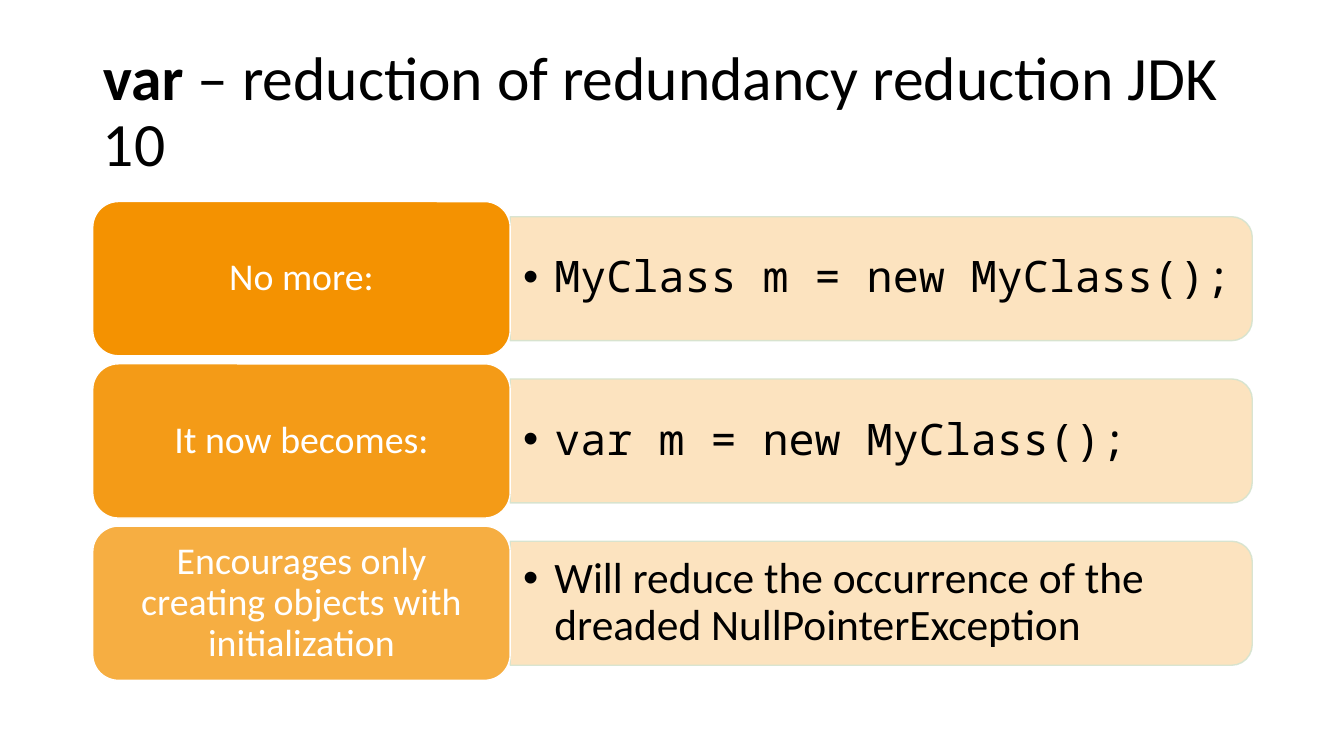
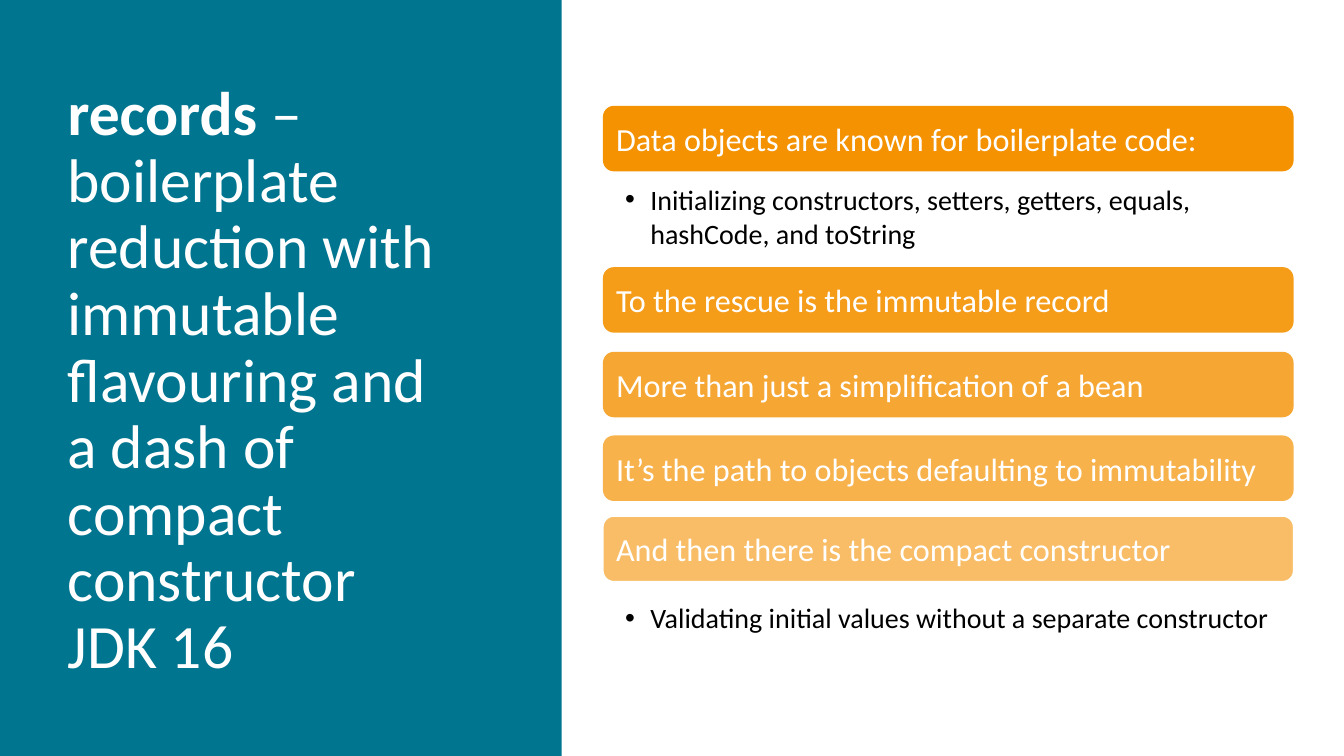
"""Build two slides on Java language features: var and records."""
import pptx
import pptx.dml.color
import pptx.enum.shapes
import pptx.enum.text
import pptx.oxml
import pptx.oxml.ns
import pptx.util

Inches = pptx.util.Inches
Pt = pptx.util.Pt
RGBColor = pptx.dml.color.RGBColor
SHAPES = pptx.enum.shapes.MSO_SHAPE
ALIGN = pptx.enum.text.PP_ALIGN
ANCHOR = pptx.enum.text.MSO_ANCHOR

ORANGE = RGBColor(0xF4, 0x92, 0x01)
TEAL = RGBColor(0x00, 0x75, 0x90)
PALE_GREEN = RGBColor(0xD5, 0xE3, 0xCF)
BLACK = RGBColor(0, 0, 0)
WHITE = RGBColor(255, 255, 255)
SANS = "Calibri"
MONO = "Noto Sans Mono"
A_NS = "http://schemas.openxmlformats.org/drawingml/2006/main"


def write(frame, text, size, color, lead="", font=SANS, align=ALIGN.LEFT,
          anchor=ANCHOR.MIDDLE, spacing=1.0, insets=(0.1, 0.05, 0.1, 0.05), bullet_indent=0):
    """Fill a text frame with one formatted paragraph, optionally with a bold lead."""
    frame.word_wrap = True
    frame.auto_size = pptx.enum.text.MSO_AUTO_SIZE.NONE
    frame.vertical_anchor = anchor
    (frame.margin_left, frame.margin_top,
     frame.margin_right, frame.margin_bottom) = map(Inches, insets)
    paragraph = frame.paragraphs[0]
    paragraph.alignment = align
    paragraph.line_spacing = spacing
    if lead:
        paragraph.add_run().text = lead
    for index, line in enumerate(text.split("\n")):
        if index:
            paragraph.add_line_break()
        paragraph.add_run().text = line
    for index, run in enumerate(paragraph.runs):
        run.font.name = font
        run.font.size = Pt(size)
        run.font.color.rgb = color
        run.font.bold = bool(lead) and index == 0
    if bullet_indent:
        properties = paragraph._p.get_or_add_pPr()
        properties.set("marL", str(Inches(bullet_indent)))
        properties.set("indent", str(-Inches(bullet_indent)))
        for bullet in ('buFont xmlns:a="%s" typeface="Arial"', 'buChar xmlns:a="%s" char="•"'):
            properties.append(pptx.oxml.parse_xml(f"<a:{bullet % A_NS}/>"))


def add_block(slide, kind, box, fill, opacity=100, line=None, line_opacity=100):
    """Add a flat shape with a solid, possibly translucent, fill and outline."""
    block = slide.shapes.add_shape(kind, *map(Inches, box))
    block.shadow.inherit = False
    block.fill.solid()
    block.fill.fore_color.rgb = fill
    if line is None:
        block.line.fill.background()
    else:
        block.line.color.rgb = line
        block.line.width = Pt(1)
    colors = block._element.spPr.findall(".//" + pptx.oxml.ns.qn("a:srgbClr"))
    for color, percent in zip(colors, (opacity, line_opacity)):
        if percent < 100:
            color.append(pptx.oxml.parse_xml(f'<a:alpha xmlns:a="{A_NS}" val="{percent * 1000}"/>'))
    return block


deck = pptx.Presentation()
deck.slide_width = Inches(13.33)
deck.slide_height = Inches(7.5)

slides = []
for box, color, lead, heading in [
    ((0.92, 0.4, 12.02, 1.45), BLACK, "var", " – reduction of redundancy reduction JDK 10"),
    ((0.57, 0.29, 4.16, 7), WHITE, "records",
     " – boilerplate reduction with immutable flavouring and a dash of compact constructor\nJDK 16"),
]:
    slide = deck.slides.add_slide(deck.slide_layouts[5])
    title = slide.shapes.title
    title.left, title.top, title.width, title.height = map(Inches, box)
    write(title.text_frame, heading, 44, color, lead=lead, spacing=0.9)
    slides.append(slide)
var_slide, records_slide = slides

LABEL_LEFT, LABEL_WIDTH, LABEL_HEIGHT = 0.92, 4.14, 1.53
BAR_LENGTH, BAR_THICKNESS = 7.36, 1.23
DETAIL_LEFT, DETAIL_HEIGHT = LABEL_LEFT + LABEL_WIDTH, 1.11
comparisons = [
    ("No more:", "MyClass m = new MyClass();", MONO, 100),
    ("It now becomes:", "var m = new MyClass();", MONO, 91),
    ("Encourages only creating objects with initialization",
     "Will reduce the occurrence of the dreaded NullPointerException", SANS, 74),
]
for row, (label_text, detail_text, detail_font, opacity) in enumerate(comparisons):
    top = 2 + 1.61 * row
    middle = top + LABEL_HEIGHT / 2
    bar_left = DETAIL_LEFT + (BAR_LENGTH - BAR_THICKNESS) / 2
    bar = add_block(var_slide, SHAPES.ROUND_2_SAME_RECTANGLE,
                    (bar_left, middle - BAR_LENGTH / 2, BAR_THICKNESS, BAR_LENGTH),
                    ORANGE, 25, PALE_GREEN, 90)
    bar.rotation = 90
    detail = var_slide.shapes.add_textbox(
        *map(Inches, (DETAIL_LEFT, middle - DETAIL_HEIGHT / 2, 7.3, DETAIL_HEIGHT)))
    write(detail.text_frame, detail_text, 31, BLACK, font=detail_font, spacing=0.9,
          insets=(0.13, 0.06, 0.13, 0.06), bullet_indent=0.31)
    label = add_block(var_slide, SHAPES.ROUNDED_RECTANGLE,
                      (LABEL_LEFT, top, LABEL_WIDTH, LABEL_HEIGHT), ORANGE, opacity, WHITE)
    write(label.text_frame, label_text, 27, WHITE, align=ALIGN.CENTER, spacing=0.9,
          insets=(0.11, 0.06, 0.11, 0.06))

panel = add_block(records_slide, SHAPES.RECTANGLE, (0, 0, 5.57, 7.5), TEAL)
records_slide.shapes.title._element.addprevious(panel._element)

LIST_LEFT, LIST_WIDTH = 5.98, 6.85
statements = [
    (1.05, "Data objects are known for boilerplate code:", None),
    (2.65, "To the rescue is the immutable record", None),
    (3.49, "More than just a simplification of a bean", None),
    (4.32, "It’s the path to objects defaulting to immutability", None),
    (5.12, "And then there is the compact constructor", WHITE),
]
for rank, (top, statement, outline) in enumerate(statements):
    banner = add_block(records_slide, SHAPES.ROUNDED_RECTANGLE,
                       (LIST_LEFT, top, LIST_WIDTH, 0.65), ORANGE, 100 - 10 * rank, outline)
    write(banner.text_frame, statement, 23, WHITE, insets=(0.1, 0.1, 0.1, 0.1))

for top, height, remark in [
    (1.78, 0.74, "Initializing constructors, setters, getters, equals, hashCode, and toString"),
    (5.93, 0.42, "Validating initial values without a separate constructor"),
]:
    note = records_slide.shapes.add_textbox(*map(Inches, (LIST_LEFT, top, LIST_WIDTH, height)))
    write(note.text_frame, remark, 20, BLACK, anchor=ANCHOR.TOP,
          insets=(0.22, 0.03, 0.16, 0.03), bullet_indent=0.25)

deck.save("out.pptx")
